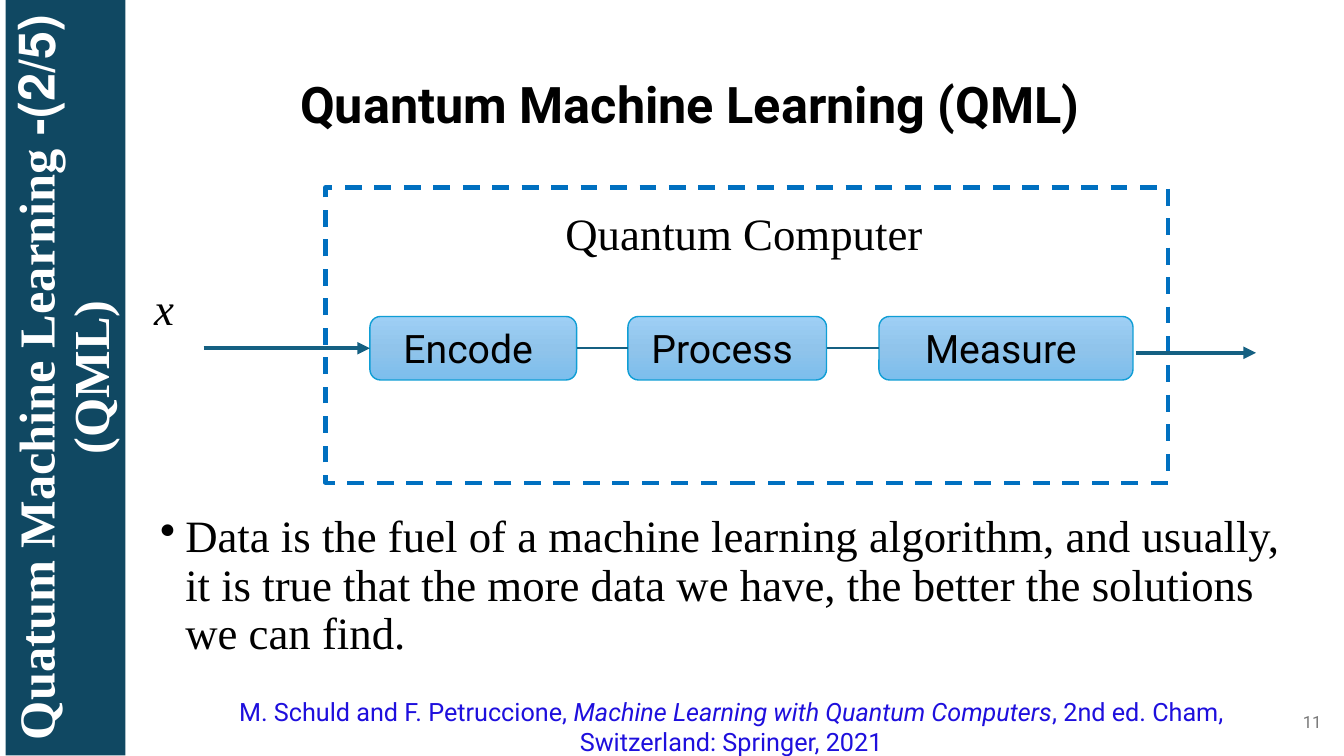
import copy

import pptx
import pptx.dml.color
import pptx.enum.dml
import pptx.enum.shapes
import pptx.enum.text
import pptx.oxml
import pptx.oxml.ns
import pptx.util

Pt = pptx.util.Pt
qn = pptx.oxml.ns.qn
ALIGN = pptx.enum.text.PP_ALIGN
ANCHOR = pptx.enum.text.MSO_ANCHOR
SHAPE = pptx.enum.shapes.MSO_SHAPE

# Content
SIDEBAR = "(2/5)- Quatum Machine Learning (QML)"
TITLE = "Quantum Machine Learning (QML)"
COMPUTER = "Quantum Computer"
INPUT = "x"
STAGES = [("Encode", 264.24, 147.6), ("Process", 448.56, 141.84), ("Measure", 627.84, 181.44)]
STATEMENT = ("Data is the fuel of a machine learning algorithm, and usually, it is true that "
             "the more data we have, the better the solutions we can find.")
CITATION = [("M. Schuld and F. Petruccione, ", False),
            ("Machine Learning with Quantum Computers", True),
            (", 2nd ed. Cham, Switzerland: Springer, 2021", False)]
PAGE = "11"

# Style
SANS, SERIF = "Roboto", "Times New Roman"
ARROW = "156082"
GRADIENT = [(0, "9ECFF5"), (0.5, "90C4EB"), (1, "7CBEED")]
STAGE_TOP, STAGE_HEIGHT = 226.08, 45.36
STAGE_MIDDLE = STAGE_TOP + STAGE_HEIGHT / 2


def color(hex_text):
    return pptx.dml.color.RGBColor.from_string(hex_text)


def write(shape, text, size=32, font=SERIF, ink="000000", bold=False, align=ALIGN.LEFT,
          anchor=ANCHOR.TOP, spacing=None, right=7.2, bullet=False, rtl=False):
    """Fill a shape with one paragraph; text is a string or (text, italic) pairs."""
    frame = shape.text_frame
    frame.word_wrap = True
    frame.vertical_anchor = anchor
    frame.margin_right = Pt(right)
    paragraph = frame.paragraphs[0]
    paragraph.alignment = align
    if spacing:
        paragraph.line_spacing = spacing
    properties = paragraph._p.get_or_add_pPr()
    if rtl:
        properties.set("rtl", "1")
    if bullet:
        properties.set("marL", str(Pt(18)))
        properties.set("indent", str(-Pt(18)))
        mark = pptx.oxml.parse_xml(
            '<a:buChar xmlns:a="http://schemas.openxmlformats.org/drawingml/2006/main" char="•"/>')
        properties.append(mark)
    for words, italic in [(text, False)] if isinstance(text, str) else text:
        run = paragraph.add_run()
        run.text = words
        run.font.size, run.font.name = Pt(size), font
        run.font.bold, run.font.italic = bold, italic
        run.font.color.rgb = color(ink)


def add_text(box, text, **style):
    write(slide.shapes.add_textbox(*map(Pt, box)), text, **style)


def add_box(kind, box, line=None, width=1):
    shape = slide.shapes.add_shape(kind, *map(Pt, box))
    shape.shadow.inherit = False
    if line:
        shape.line.color.rgb = color(line)
        shape.line.width = Pt(width)
    else:
        shape.line.fill.background()
    return shape


def add_link(start, end, y, width, arrow=False, source=None, target=None):
    link = slide.shapes.add_connector(pptx.enum.shapes.MSO_CONNECTOR.STRAIGHT,
                                      Pt(start), Pt(y), Pt(end), Pt(y))
    if source:
        link.begin_connect(source, 3)
    if target:
        link.end_connect(target, 1)
    link.line.color.rgb = color(ARROW)
    link.line.width = Pt(width)
    if arrow:
        head = link.line._get_or_add_ln().makeelement(qn("a:tailEnd"), {"type": "triangle"})
        link.line._get_or_add_ln().append(head)
    properties = link._element.spPr
    properties.append(properties.makeelement(qn("a:effectLst"), {}))


def shade(shape):
    """Vertical gradient with three stops."""
    shape.fill.gradient()
    shape.fill.gradient_angle = 270
    stop_list = shape._element.spPr.find(".//" + qn("a:gsLst"))
    stop_list.insert(1, copy.deepcopy(stop_list[0]))
    for stop, (position, hex_text) in zip(shape.fill.gradient_stops, GRADIENT):
        stop.position = position
        stop.color.rgb = color(hex_text)


deck = pptx.Presentation()
deck.slide_width, deck.slide_height = Pt(960), Pt(540)
slide = deck.slides.add_slide(deck.slide_layouts[6])

# Sidebar, page number and title
add_text((853.92, 501.12, 97.2, 28.8), PAGE, size=12, font=SANS, ink="797979",
         align=ALIGN.RIGHT, anchor=ANCHOR.MIDDLE)
sidebar = add_box(SHAPE.RECTANGLE, (-223.2, 226.8, 540, 85.68))
sidebar.rotation = 270
sidebar.fill.solid()
sidebar.fill.fore_color.rgb = color("104862")
write(sidebar, SIDEBAR, size=36, ink="FFFFFF", bold=True, align=ALIGN.CENTER,
      anchor=ANCHOR.MIDDLE, spacing=0.9, rtl=True)
add_text((207.36, 27.36, 590.4, 66.24), TITLE, size=36, font=SANS, bold=True, spacing=1.5)

# Statement
add_text((107.28, 363.6, 828, 85.68), STATEMENT, spacing=0.9, bullet=True)

# Processing stages
stages = []
for name, left, width in STAGES:
    stage = add_box(SHAPE.ROUNDED_RECTANGLE, (left, STAGE_TOP, width, STAGE_HEIGHT), "0F9ED5")
    shade(stage)
    write(stage, name, size=28, font=SANS, align=ALIGN.CENTER, right=14.4)
    stages.append(stage)

# Quantum computer frame
computer = add_box(SHAPE.RECTANGLE, (232.56, 133.92, 601.92, 210.96), "0070C0", 3)
computer.fill.background()
computer.line.dash_style = pptx.enum.dml.MSO_LINE.DASH
add_text((396.72, 143.28, 321.84, 46.08), COMPUTER)

# Input, output and links between stages
add_text((102.96, 197.28, 46.8, 46.08), [(INPUT, True)])
add_link(145.44, STAGES[0][1], STAGE_MIDDLE, 3, arrow=True, target=stages[0])
add_link(811.44, 897.12, 252, 3, arrow=True)
for i in range(len(STAGES) - 1):
    add_link(STAGES[i][1] + STAGES[i][2], STAGES[i + 1][1], STAGE_MIDDLE, 1.5,
             source=stages[i], target=stages[i + 1])

# Citation
add_text((145.44, 493.92, 753.84, 46.08), CITATION, size=18, font=SANS, ink="1E0FDD",
         align=ALIGN.CENTER)

deck.save("out.pptx")
